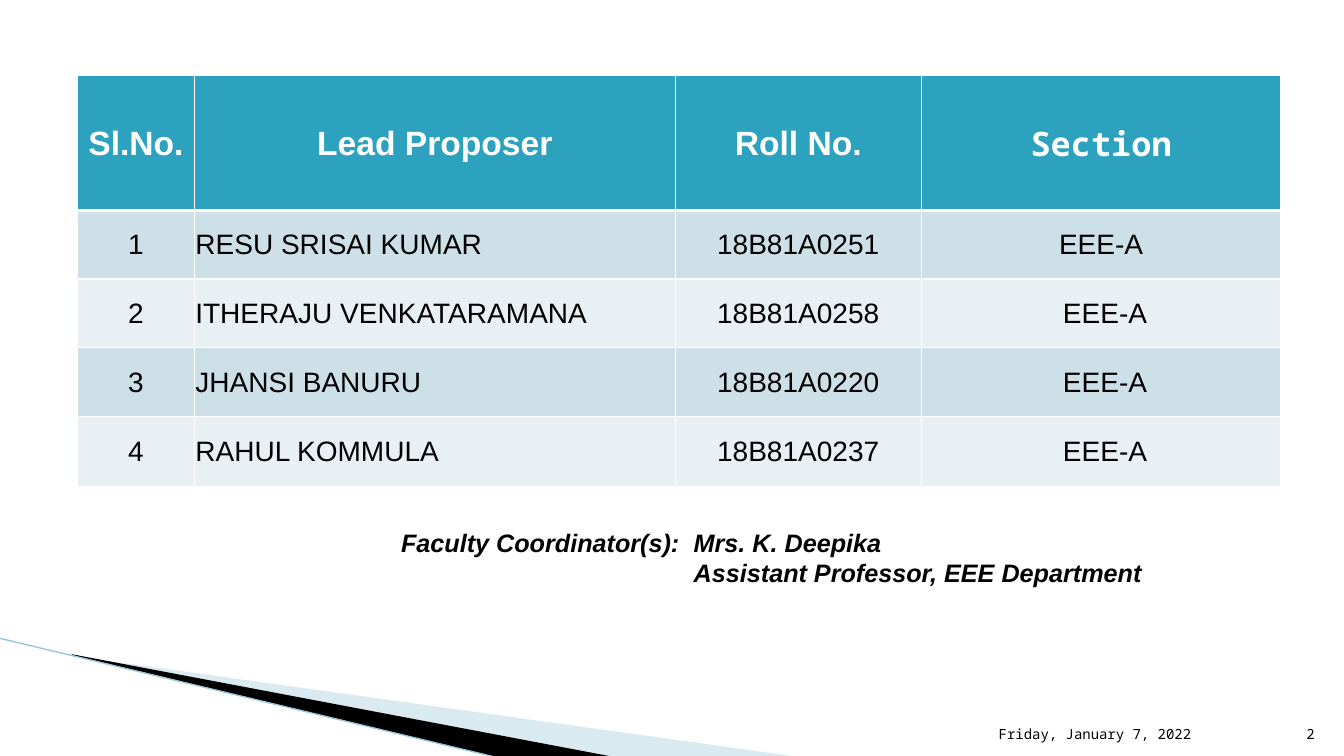
from pptx import Presentation
from pptx.dml.color import RGBColor
from pptx.enum.shapes import MSO_CONNECTOR as Connector
from pptx.enum.text import MSO_ANCHOR as Anchor, PP_ALIGN as Align
from pptx.oxml.ns import qn
from pptx.util import Pt
from lxml.etree import SubElement

WHITE = RGBColor(0xFF, 0xFF, 0xFF)
BLACK = RGBColor(0x00, 0x00, 0x00)
TEAL = RGBColor(0x2D, 0xA2, 0xBF)
PALE_BLUE = RGBColor(0xA0, 0xCB, 0xDC)
LINE_BLUE = RGBColor(0x97, 0xC5, 0xD8)
BANDS = (RGBColor(0xCD, 0xE0, 0xE8), RGBColor(0xE8, 0xF0, 0xF4))

SANS, MONO = "Arial", "Noto Sans Mono"
HEADER_FONT = {"name": SANS, "size": Pt(24), "bold": True}
BODY_FONT = {"name": SANS, "size": Pt(20), "bold": False}
FOOTER_FONT = {"name": MONO, "size": Pt(10)}
CREDIT_FONT = {"name": SANS, "size": Pt(18), "bold": True, "italic": True}
CELL_FORMAT = {"vertical_anchor": Anchor.MIDDLE, "margin_left": Pt(0.7),
               "margin_top": Pt(0.7), "margin_right": Pt(0.7), "margin_bottom": 0}

COLUMN_WIDTHS = (83.5, 343.5, 175.7, 257)
ROW_HEIGHTS = (96.5, 49, 49, 49, 50.4)
ROWS = (
    ("Sl.No.", "Lead Proposer", "Roll No.", "Section"),
    ("1", "RESU SRISAI KUMAR", "18B81A0251", "EEE-A"),
    ("2", "ITHERAJU VENKATARAMANA", "18B81A0258", " EEE-A"),
    ("3", "JHANSI BANURU", "18B81A0220", " EEE-A"),
    ("4", "RAHUL KOMMULA", "18B81A0237", " EEE-A"),
)
NAME_INDENT = 209


def apply(target, values):
    for name, value in values.items():
        setattr(target, name, value)


def write(para, text, font, color=BLACK, align=Align.LEFT):
    para.alignment = align
    span = para.add_run()
    span.text = text
    apply(span.font, font)
    span.font.color.rgb = color


def add_text(page, left, top, width, height, lines, font,
             anchor=Anchor.TOP, align=Align.LEFT):
    box = page.shapes.add_textbox(Pt(left), Pt(top), Pt(width), Pt(height))
    frame = box.text_frame
    frame.word_wrap = True
    frame.vertical_anchor = anchor
    for number, line in enumerate(lines):
        para = frame.add_paragraph() if number else frame.paragraphs[0]
        write(para, line, font, align=align)
    return frame


def add_wedge(page, points, color, opacity=100):
    start, *others = [(Pt(x), Pt(y)) for x, y in points]
    builder = page.shapes.build_freeform(*start)
    builder.add_line_segments(others, close=True)
    wedge = builder.convert_to_shape()
    wedge.shadow.inherit = False
    wedge.line.fill.background()
    wedge.fill.solid()
    wedge.fill.fore_color.rgb = color
    if opacity < 100:
        fill_color = wedge.fill._xPr.find(qn("a:solidFill"))[0]
        SubElement(fill_color, qn("a:alpha"), val=str(opacity * 1000))


def add_line(page, start, end, color, width):
    line = page.shapes.add_connector(
        Connector.STRAIGHT, *(Pt(value) for value in start + end))
    line.line.color.rgb = color
    line.line.width = Pt(width)
    SubElement(line._element.spPr, qn("a:effectLst"))


def add_borders(cell, color, bottom_width):
    properties = cell._tc.get_or_add_tcPr()
    for position, side in enumerate("LRTB"):
        width = bottom_width if side == "B" else 1
        border = SubElement(properties, qn(f"a:ln{side}"), w=str(Pt(width)))
        fill = SubElement(border, qn("a:solidFill"))
        SubElement(fill, qn("a:srgbClr"), val=str(color))
        properties.insert(position, border)


def add_proposer_table(page, left, top):
    frame = page.shapes.add_table(
        len(ROWS), len(COLUMN_WIDTHS), Pt(left), Pt(top),
        Pt(sum(COLUMN_WIDTHS)), Pt(sum(ROW_HEIGHTS)))
    table = frame.table
    table.horz_banding = False
    for column, width in zip(table.columns, COLUMN_WIDTHS):
        column.width = Pt(width)
    for row, height in zip(table.rows, ROW_HEIGHTS):
        row.height = Pt(height)

    for r, texts in enumerate(ROWS):
        header = r == 0
        for c, text in enumerate(texts):
            cell = table.cell(r, c)
            apply(cell, CELL_FORMAT)
            cell.fill.solid()
            cell.fill.fore_color.rgb = TEAL if header else BANDS[(r - 1) % 2]
            add_borders(cell, WHITE, 3 if header else 1)
            font = dict(HEADER_FONT if header else BODY_FONT)
            if text == "Section":
                font["name"] = MONO
            align = Align.LEFT if c == 1 and not header else Align.CENTER
            write(cell.text_frame.paragraphs[0], text, font,
                  WHITE if header else BLACK, align)


def add_coordinator(page):
    lines = ("Faculty Coordinator(s):\tMrs. K. Deepika",
             "Assistant Professor, EEE Department")
    frame = add_text(page, 279.4, 373, 680.4, 51, lines, CREDIT_FONT)
    # Line up the name and the post
    name, post = (para._p.get_or_add_pPr() for para in frame.paragraphs)
    tabs = SubElement(name, qn("a:tabLst"))
    SubElement(tabs, qn("a:tab"), pos=str(Pt(NAME_INDENT)), algn="l")
    post.set("marL", str(Pt(NAME_INDENT)))


def main():
    deck = Presentation()
    deck.slide_width, deck.slide_height = Pt(960), Pt(540)
    page = deck.slides.add_slide(deck.slide_layouts[6])

    # Corner decoration
    add_wedge(page, [(52.6, 468.7), (571, 540.7), (437.8, 540.7), (52.6, 468)],
              PALE_BLUE, opacity=40)
    add_wedge(page, [(51.1, 467.3), (438.5, 540.7), (357.1, 541.4), (51.8, 468)],
              BLACK)
    add_line(page, (-0.7, 455.8), (356.4, 541.4), LINE_BLUE, 0.95)

    # Footer
    add_text(page, 706.3, 504.7, 201.6, 28.8, ["Friday, January 7, 2022"],
             FOOTER_FONT, Anchor.BOTTOM)
    add_text(page, 907.9, 504.7, 38.2, 28.8, ["2"],
             FOOTER_FONT, Anchor.BOTTOM, Align.RIGHT)

    # Content
    add_proposer_table(page, 55.4, 53.8)
    add_coordinator(page)
    deck.save("out.pptx")


if __name__ == "__main__":
    main()
